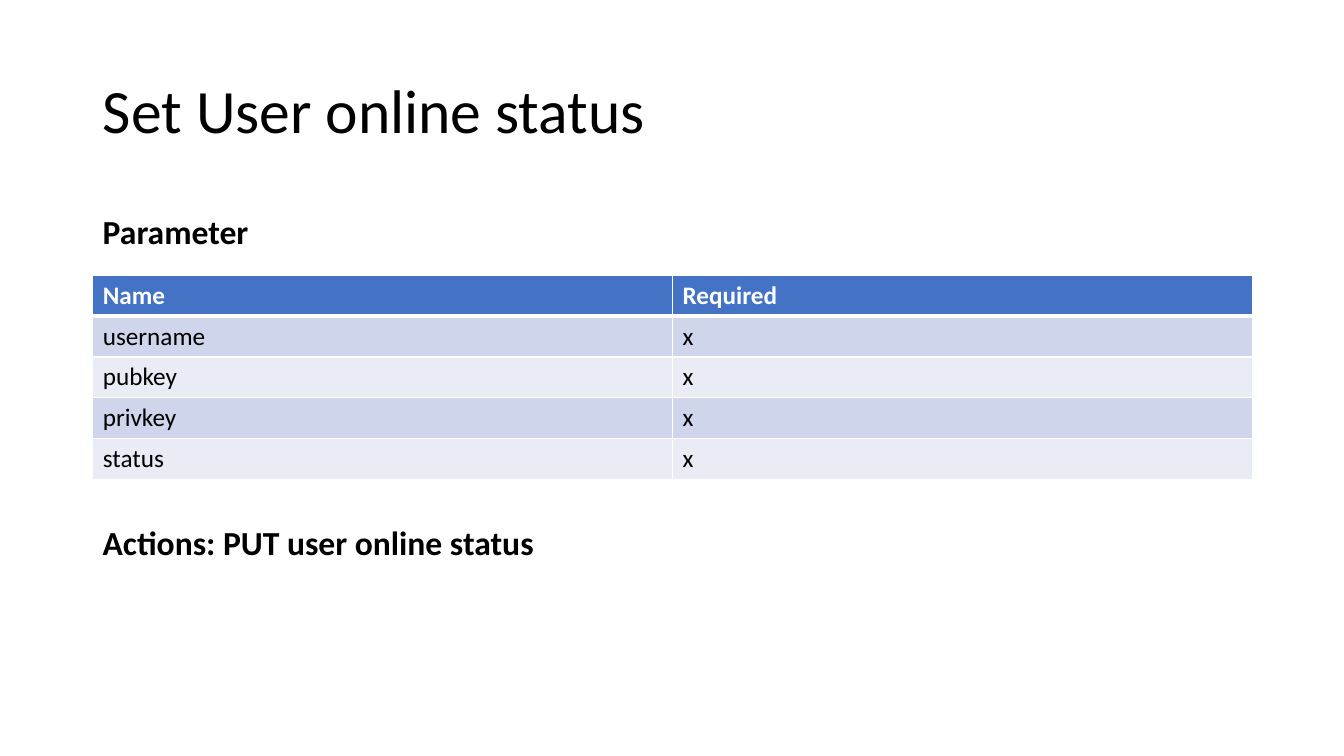
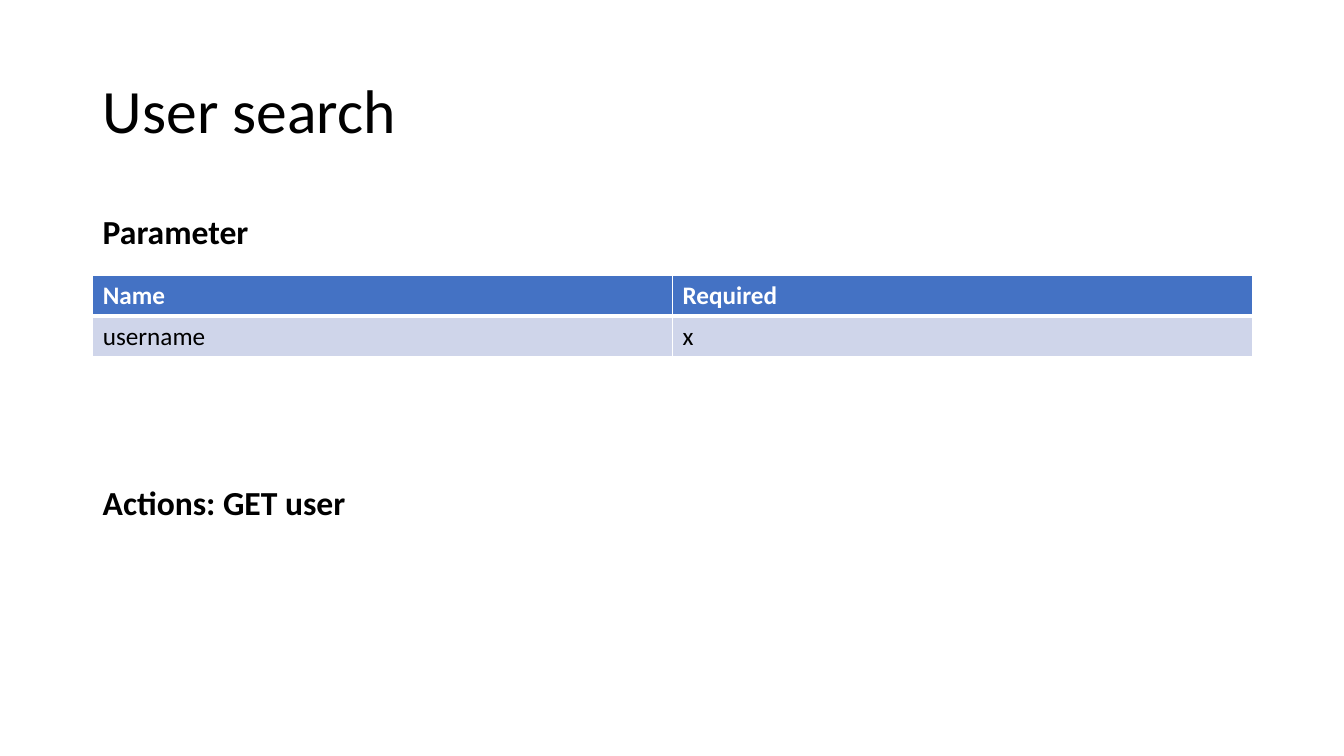
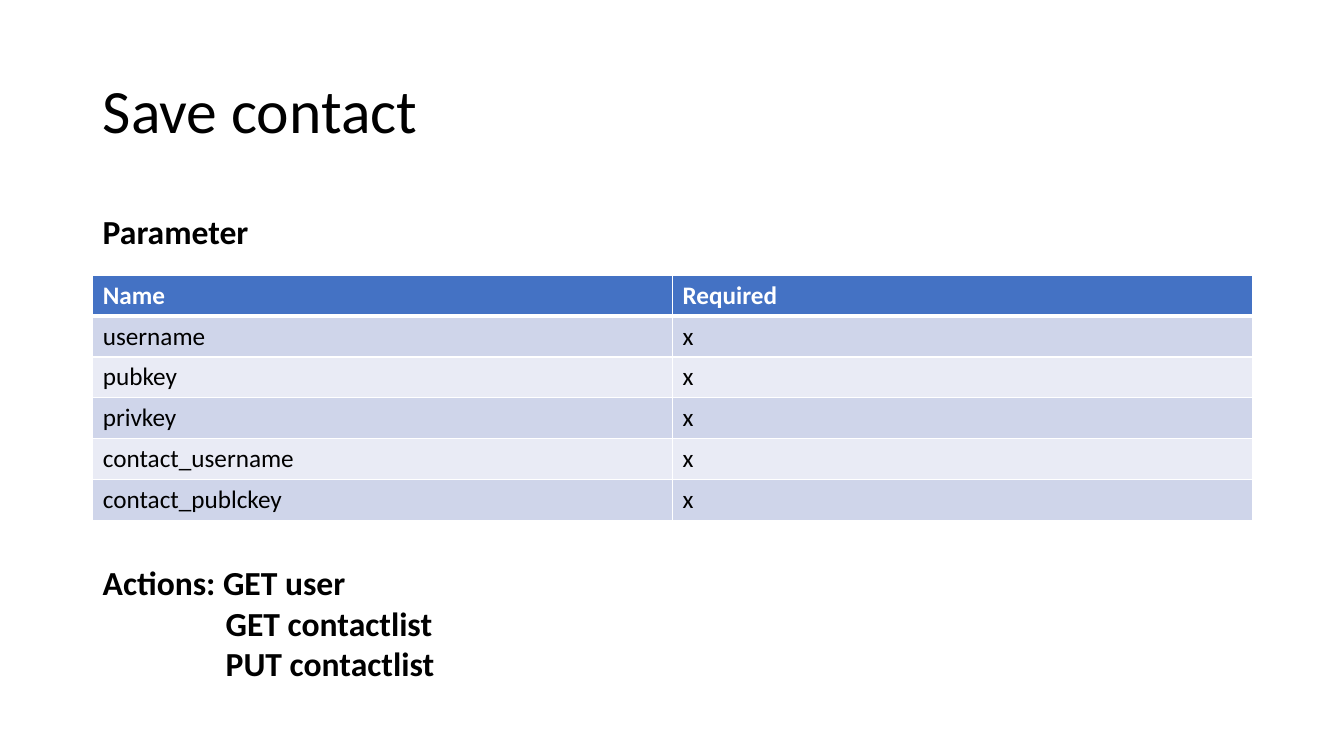
"""Build three API reference slides, each with a parameter table and its actions."""
from dataclasses import dataclass

from lxml import etree
from pptx import Presentation
from pptx.dml.color import RGBColor
from pptx.enum.text import MSO_ANCHOR, MSO_AUTO_SIZE, PP_ALIGN
from pptx.oxml.ns import qn
from pptx.util import Inches, Pt

LEFT = PP_ALIGN.LEFT
MIDDLE = MSO_ANCHOR.MIDDLE
GROW = MSO_AUTO_SIZE.SHAPE_TO_FIT_TEXT
TITLE_ONLY = 5

COLUMNS = ("Name", "Required")
ENDPOINTS = [
    {
        "title": "Set User online status",
        "parameters": ["username", "pubkey", "privkey", "status"],
        "actions": ["Actions: PUT user online status"],
        "actions_top": 5.13,
        "actions_size": (4.63, 0.5),
    },
    {
        "title": "User search",
        "parameters": ["username"],
        "actions": ["Actions: GET user"],
        "actions_top": 4.73,
        "actions_size": (3.45, 0.5),
    },
    {
        "title": "Save contact",
        "parameters": ["username", "pubkey", "privkey",
                       "contact_username", "contact_publckey"],
        "actions": ["Actions: GET user", "GET contactlist", "PUT contactlist"],
        "actions_top": 5.53,
        "actions_size": (5.15, 1.31),
    },
]


@dataclass(frozen=True)
class Theme:
    """Colours, type sizes and measures shared by all slides."""
    font: str = "Calibri"
    black: str = "000000"
    white: str = "FFFFFF"
    header: str = "4472C4"
    bands: tuple = ("CFD5EA", "E9EBF5")
    title_size: int = 44
    heading_size: int = 24
    cell_size: int = 18
    rule: int = 1
    header_rule: int = 3
    row_height: int = Pt(29.2)
    margin: int = Inches(0.92)
    width: int = Inches(11.5)
    action_indent: int = Inches(1.22)


THEME = Theme()


def style(paragraph, size, color=THEME.black, bold=False):
    for run in paragraph.runs:
        run.font.name = THEME.font
        run.font.size = Pt(size)
        run.font.bold = bold
        run.font.color.rgb = RGBColor.from_string(color)


def add_title(slide, wording):
    title = slide.shapes.title
    title.left, title.top = THEME.margin, Inches(0.4)
    title.width, title.height = THEME.width, Inches(1.45)
    frame = title.text_frame
    frame.text = wording
    frame.vertical_anchor = MIDDLE
    heading = frame.paragraphs[0]
    heading.alignment = LEFT
    heading.line_spacing = 0.9
    style(heading, THEME.title_size)


def add_heading(slide, lines, top, width, height):
    box = slide.shapes.add_textbox(THEME.margin, Inches(top), Inches(width), Inches(height))
    frame = box.text_frame
    frame.word_wrap = True
    frame.auto_size = GROW
    frame.text = "\n".join(lines)
    for index, paragraph in enumerate(frame.paragraphs):
        style(paragraph, THEME.heading_size, bold=True)
        if index:
            paragraph._p.get_or_add_pPr().set("marL", str(THEME.action_indent))


def set_borders(cell, top, bottom):
    properties = cell._tc.get_or_add_tcPr()
    widths = {"a:lnL": THEME.rule, "a:lnR": THEME.rule, "a:lnT": top, "a:lnB": bottom}
    for position, (edge, width) in enumerate(widths.items()):
        line = etree.Element(qn(edge), w=str(Pt(width)))
        fill = etree.SubElement(line, qn("a:solidFill"))
        etree.SubElement(fill, qn("a:srgbClr"), val=THEME.white)
        properties.insert(position, line)


def add_parameters(slide, parameters):
    rows = [COLUMNS] + [(name, "x") for name in parameters]
    table = slide.shapes.add_table(len(rows), len(COLUMNS), THEME.margin, Inches(2.73),
                                   THEME.width, THEME.row_height * len(rows)).table
    for r, row in enumerate(rows):
        is_header = r == 0
        background = THEME.header if is_header else THEME.bands[(r - 1) % 2]
        color = THEME.white if is_header else THEME.black
        top = THEME.header_rule if r == 1 else THEME.rule
        bottom = THEME.header_rule if is_header else THEME.rule
        for c, wording in enumerate(row):
            cell = table.cell(r, c)
            cell.text_frame.text = wording
            style(cell.text_frame.paragraphs[0], THEME.cell_size, color, is_header)
            cell.fill.solid()
            cell.fill.fore_color.rgb = RGBColor.from_string(background)
            set_borders(cell, top, bottom)


deck = Presentation()
deck.slide_width, deck.slide_height = Inches(13.33), Inches(7.5)
for endpoint in ENDPOINTS:
    page = deck.slides.add_slide(deck.slide_layouts[TITLE_ONLY])
    add_title(page, endpoint["title"])
    add_parameters(page, endpoint["parameters"])
    add_heading(page, ["Parameter"], 2.04, 3.45, 0.5)
    add_heading(page, endpoint["actions"], endpoint["actions_top"], *endpoint["actions_size"])
deck.save("out.pptx")
